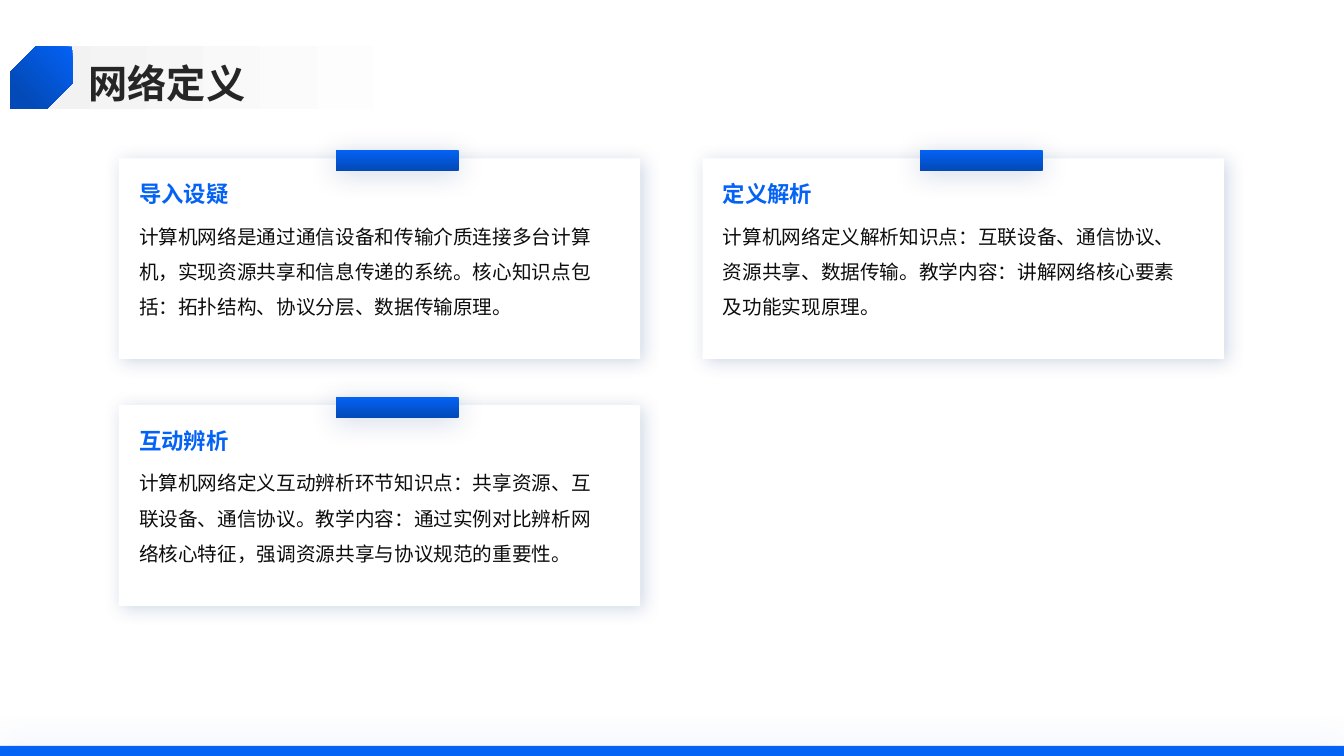
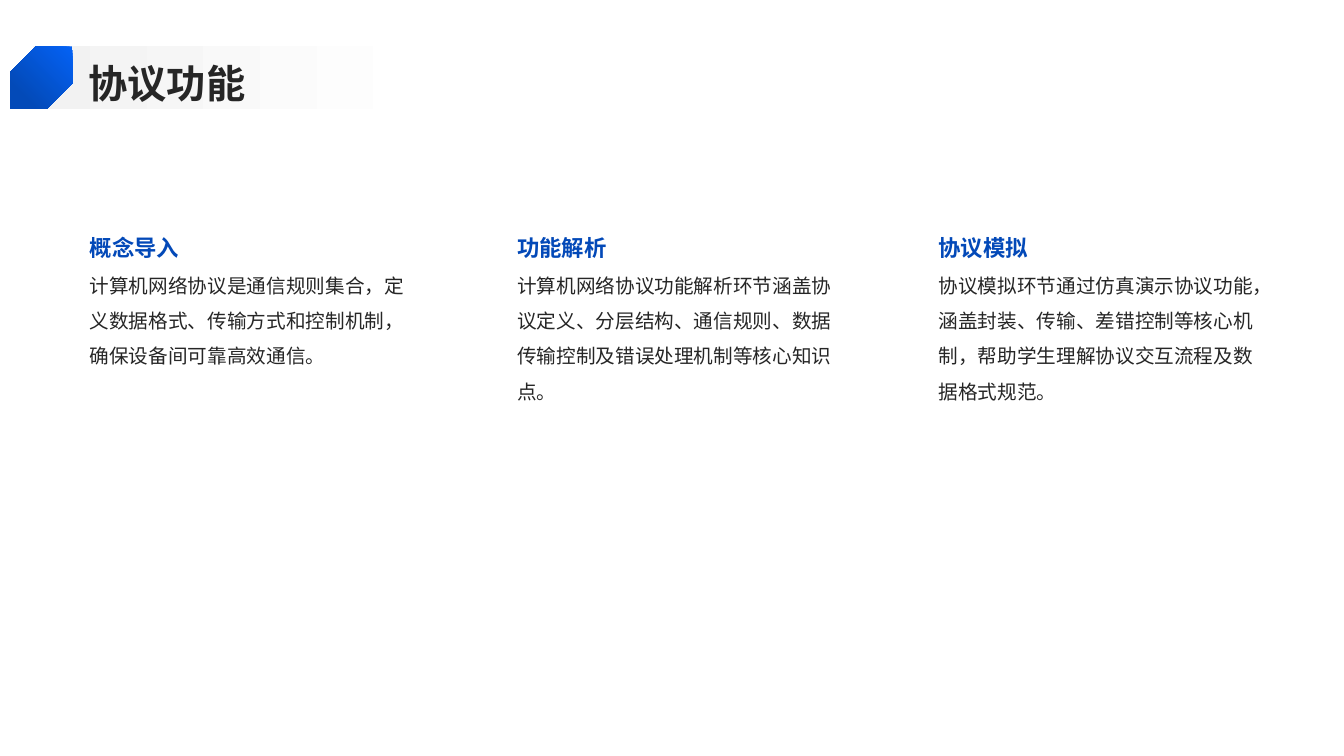
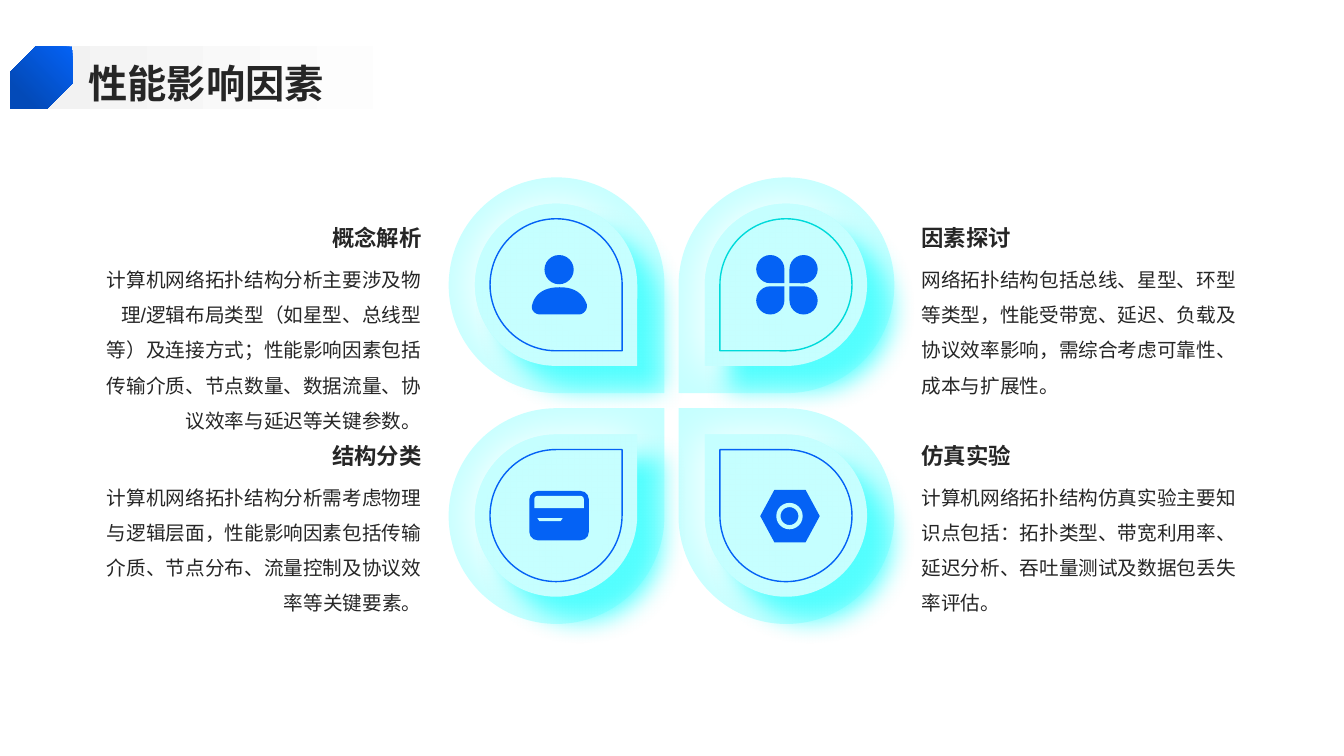
from dataclasses import dataclass

from lxml import etree
from pptx import Presentation
from pptx.dml.color import RGBColor
from pptx.enum.shapes import MSO_SHAPE
from pptx.enum.text import MSO_ANCHOR, PP_ALIGN
from pptx.oxml.ns import qn
from pptx.util import Pt

PX = 9144
RECT = MSO_SHAPE.RECTANGLE
ROUND_RECT = MSO_SHAPE.ROUNDED_RECTANGLE
ROUND_TOP = MSO_SHAPE.ROUND_2_SAME_RECTANGLE
SNIP = MSO_SHAPE.SNIP_2_DIAG_RECTANGLE
TEARDROP = MSO_SHAPE.TEAR
HEXAGON = MSO_SHAPE.HEXAGON
TRAPEZOID = MSO_SHAPE.TRAPEZOID
OVAL = MSO_SHAPE.OVAL
TOP, MIDDLE, BOTTOM = MSO_ANCHOR.TOP, MSO_ANCHOR.MIDDLE, MSO_ANCHOR.BOTTOM
LEFT, RIGHT = PP_ALIGN.LEFT, PP_ALIGN.RIGHT


@dataclass(frozen=True)
class Theme:
    font: str = "Noto Sans CJK SC"
    latin: str = "Arial"
    blue: str = "0462F5"
    deep: str = "034AB8"
    heading: str = "0349B8"
    navy: str = "02317B"
    ink: str = "262626"
    black: str = "0D0D0D"
    white: str = "FFFFFF"
    grey: str = "F2F2F2"
    aqua: str = "C5FFFF"
    glow: str = "50FFFF"
    teal: str = "00DADA"
    title_size: int = 28
    head_size: int = 16
    body_size: int = 14


T = Theme()


def rgb(color):
    return RGBColor.from_string(color)


def add_shadow(sp, color, alpha, blur, dist, angle):
    effects = sp._element.spPr.find(qn("a:effectLst"))
    outer = etree.SubElement(
        effects, qn("a:outerShdw"), blurRad=str(Pt(blur)), dist=str(Pt(dist)),
        dir=str(angle * 60000), algn="ctr", rotWithShape="0")
    clr = etree.SubElement(outer, qn("a:srgbClr"), val=color)
    etree.SubElement(clr, qn("a:alpha"), val=str(alpha * 1000))


def paint(sp, fill=None, grad=None, line=None, width=1, shadow=None):
    sp.shadow.inherit = False
    if grad:
        start, end, stop, angle = grad
        sp.fill.gradient()
        sp.fill.gradient_angle = 360 - angle
        for gs, color, pos in zip(sp.fill.gradient_stops, (start, end), (0, stop)):
            gs.color.rgb = rgb(color)
            gs.position = pos
    elif fill:
        sp.fill.solid()
        sp.fill.fore_color.rgb = rgb(fill)
    else:
        sp.fill.background()
    if line:
        sp.line.color.rgb = rgb(line)
        sp.line.width = Pt(width)
    else:
        sp.line.fill.background()
    if shadow:
        add_shadow(sp, *shadow)


def add_shape(s, kind, x, y, w, h, adj=(), rot=0, **look):
    sp = s.shapes.add_shape(kind, x * PX, y * PX, w * PX, h * PX)
    for i, value in enumerate(adj):
        sp.adjustments[i] = value
    sp.rotation = rot
    paint(sp, **look)


def add_text(s, text, x, y, w, h, size=T.body_size, color=T.ink, bold=False,
             font=T.font, align=LEFT, anchor=TOP, spacing=1.5):
    tf = s.shapes.add_textbox(x * PX, y * PX, w * PX, h * PX).text_frame
    tf.word_wrap = True
    tf.margin_left = tf.margin_right = tf.margin_top = tf.margin_bottom = 0
    tf.vertical_anchor = anchor
    p = tf.paragraphs[0]
    p.alignment = align
    p.line_spacing = spacing
    r = p.add_run()
    r.text = text
    r.font.size = Pt(size)
    r.font.bold = bold
    r.font.color.rgb = rgb(color)
    r.font.name = font
    etree.SubElement(r._r.get_or_add_rPr(), qn("a:ea"), typeface=T.font)


def add_title(s, text):
    add_shape(s, RECT, 33, 46, 492, 62, grad=(T.grey, T.white, 0.8, 0))
    add_text(s, text, 88, 54, 1188, 51, size=T.title_size, bold=True,
             anchor=MIDDLE, spacing=1.1)
    add_shape(s, SNIP, 10, 46, 62, 62, adj=(0.41, 0),
              grad=(T.blue, T.deep, 0.8, 135))


def add_card(s, x, y, head, body):
    add_shape(s, RECT, x, y, 517, 199, fill=T.white, shadow=(T.navy, 19, 13, 3, 45))
    add_shape(s, RECT, x + 215, y - 8, 122, 20, grad=(T.blue, T.deep, 1, 90),
              shadow=(T.navy, 19, 20, 3, 90))
    add_text(s, head, x + 20, y + 22, 456, 36, size=T.head_size, color=T.blue,
             bold=True, spacing=1.0)
    add_text(s, body, x + 20, y + 54, 456, 132, color=T.black)


def add_column(s, x, y, head, body):
    add_text(s, body, x, y + 35, 326, 375)
    add_text(s, head, x, y, 326, 39, size=T.head_size, color=T.heading,
             bold=True, anchor=MIDDLE, spacing=1.1)


def add_factor(s, x, y, head, body, align, font):
    add_text(s, body, x, y + 36, 316, 154, align=align, font=font)
    add_text(s, head, x, y, 316, 31, size=T.head_size, bold=True, align=align,
             anchor=BOTTOM)


def curve(a, b, c, d, steps=12):
    for i in range(1, steps + 1):
        t = i / steps
        u = 1 - t
        yield tuple(u**3 * m + 3 * u * u * t * n + 3 * u * t * t * p + t**3 * q
                    for m, n, p, q in zip(a, b, c, d))


def person_icon(s, x, y):
    add_shape(s, OVAL, x + 13, y, 29, 29, fill=T.blue)
    points = [*curve((28, 32), (46, 32), (52, 41), (55, 49)),
              *curve((55, 49), (56, 54), (52, 59), (47, 59)),
              *curve((9, 59), (3, 59), (-1, 54), (1, 49)),
              *curve((1, 49), (3, 41), (10, 32), (28, 32))]
    path = [(round((x + a) * PX), round((y + b) * PX)) for a, b in points]
    builder = s.shapes.build_freeform(*path[0])
    builder.add_line_segments(path[1:], close=True)
    paint(builder.convert_to_shape(), fill=T.blue)


def clover_icon(s, x, y):
    for dx, dy, rot in ((0, 0, 90), (33, 0, 180), (33, 31, 270), (0, 31, 0)):
        add_shape(s, TEARDROP, x + dx, y + dy, 28, 28, rot=rot, fill=T.blue)


def nut_icon(s, x, y):
    add_shape(s, HEXAGON, x, y, 59, 52, adj=(0.27,), fill=T.blue)
    add_shape(s, OVAL, x + 18, y + 15, 22, 22, line=T.aqua, width=3)


def bank_card_icon(s, x, y):
    add_shape(s, ROUND_RECT, x, y, 59, 49, adj=(0.17,), fill=T.blue)
    add_shape(s, ROUND_TOP, x + 5, y + 5, 49, 12, adj=(0.25, 0), fill=T.aqua)
    add_shape(s, TRAPEZOID, x + 8, y + 27, 25, 3, adj=(0.67,), rot=180, fill=T.aqua)


def add_petal(s, x, y, rot, line, icon, dx, dy):
    add_shape(s, TEARDROP, x, y, 214, 214, rot=rot, fill=T.aqua)
    for shadow in ((T.white, 100, 32, 3, 180), (T.glow, 100, 18, 24, 45)):
        add_shape(s, TEARDROP, x + 26, y + 26, 161, 161, rot=rot, fill=T.aqua,
                  shadow=shadow)
    add_shape(s, TEARDROP, x + 41, y + 41, 131, 131, rot=rot, line=line,
              shadow=(T.white, 100, 34, 24, 45))
    icon(s, x + dx, y + dy)


def definition_slide(s):
    add_shape(s, RECT, 0, 740, 1333, 10, fill=T.blue, shadow=(T.blue, 20, 25, 0, 0))
    cards = [
        ("导入设疑", "计算机网络是通过通信设备和传输介质连接多台计算机，实现资源共享和信息传递的系统。核心知识点包括：拓扑结构、协议分层、数据传输原理。"),
        ("定义解析", "计算机网络定义解析知识点：互联设备、通信协议、资源共享、数据传输。教学内容：讲解网络核心要素及功能实现原理。"),
        ("互动辨析", "计算机网络定义互动辨析环节知识点：共享资源、互联设备、通信协议。教学内容：通过实例对比辨析网络核心特征，强调资源共享与协议规范的重要性。"),
    ]
    for i, (head, body) in enumerate(cards):
        row, col = divmod(i, 2)
        add_card(s, 118 + col * 579, 157 + row * 245, head, body)


def protocol_slide(s):
    columns = [
        (89, "概念导入", "计算机网络协议是通信规则集合，定义数据格式、传输方式和控制机制，确保设备间可靠高效通信。"),
        (513, "功能解析", "计算机网络协议功能解析环节涵盖协议定义、分层结构、通信规则、数据传输控制及错误处理机制等核心知识点。"),
        (931, "协议模拟", "协议模拟环节通过仿真演示协议功能，涵盖封装、传输、差错控制等核心机制，帮助学生理解协议交互流程及数据格式规范。"),
    ]
    for x, head, body in columns:
        add_column(s, x, 225, head, body)


def factors_slide(s):
    petals = [
        (0, 0, 90, T.blue, person_icon, 82, 77),
        (1, 0, 180, T.teal, clover_icon, 77, 77),
        (1, 1, 270, T.blue, nut_icon, 81, 81),
        (0, 1, 0, T.blue, bank_card_icon, 80, 82),
    ]
    for col, row, *look in petals:
        add_petal(s, 445 + col * 228, 176 + row * 229, *look)
    factors = [
        ("概念解析", "计算机网络拓扑结构分析主要涉及物理/逻辑布局类型（如星型、总线型等）及连接方式；性能影响因素包括传输介质、节点数量、数据流量、协议效率与延迟等关键参数。"),
        ("因素探讨", "网络拓扑结构包括总线、星型、环型等类型，性能受带宽、延迟、负载及协议效率影响，需综合考虑可靠性、成本与扩展性。"),
        ("结构分类", "计算机网络拓扑结构分析需考虑物理与逻辑层面，性能影响因素包括传输介质、节点分布、流量控制及协议效率等关键要素。"),
        ("仿真实验", "计算机网络拓扑结构仿真实验主要知识点包括：拓扑类型、带宽利用率、延迟分析、吞吐量测试及数据包丢失率评估。"),
    ]
    sides = ((102, RIGHT, T.latin), (914, LEFT, T.font))
    for i, (head, body) in enumerate(factors):
        row, col = divmod(i, 2)
        x, align, font = sides[col]
        add_factor(s, x, 218 + row * 216, head, body, align, font)


def main():
    prs = Presentation()
    prs.slide_width, prs.slide_height = 1333 * PX, 750 * PX
    slides = (("网络定义", definition_slide), ("协议功能", protocol_slide),
              ("性能影响因素", factors_slide))
    for title, build in slides:
        s = prs.slides.add_slide(prs.slide_layouts[6])
        build(s)
        add_title(s, title)
    prs.save("out.pptx")


if __name__ == "__main__":
    main()
